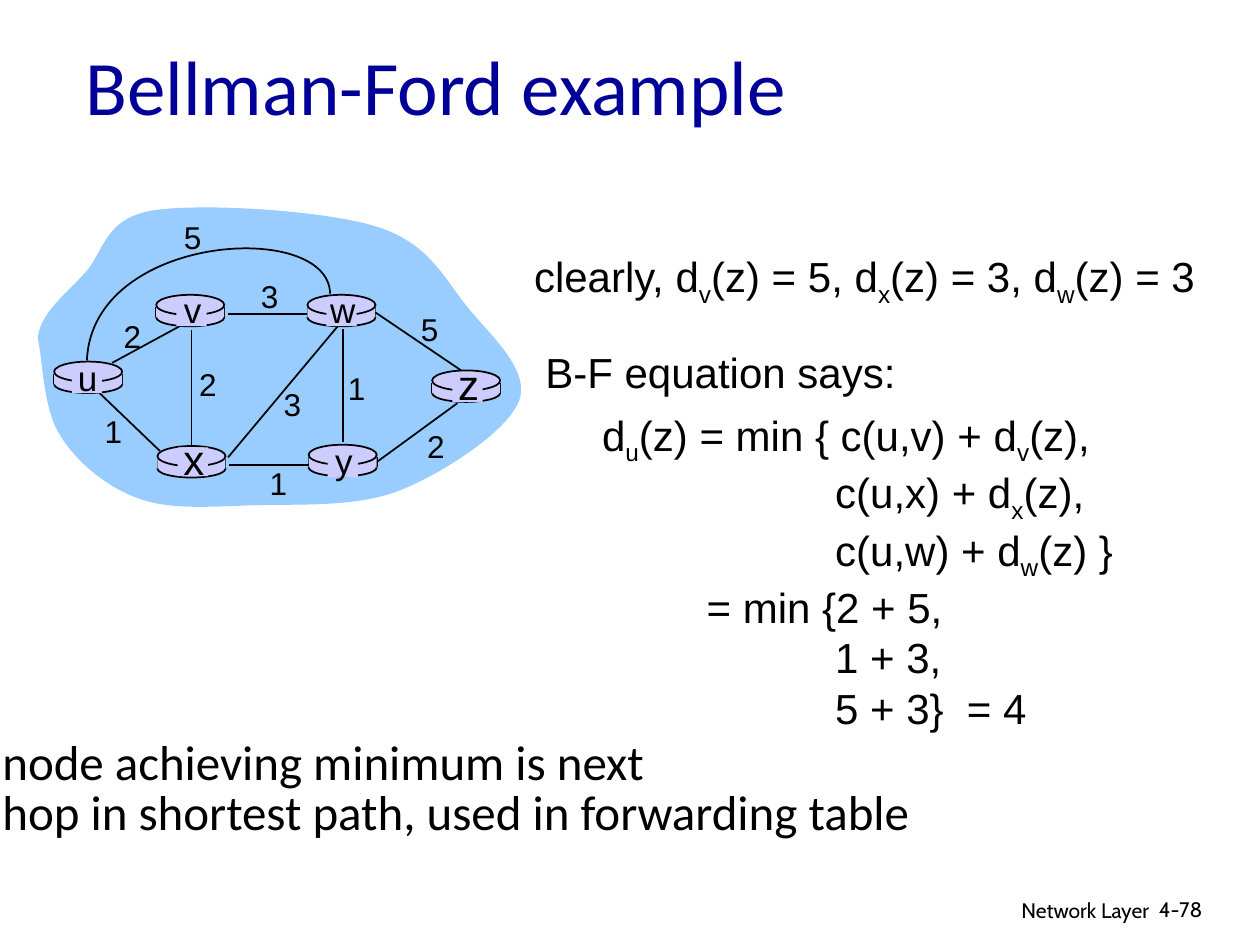
from lxml.etree import SubElement
from pptx import Presentation
from pptx.dml.color import RGBColor
from pptx.enum.shapes import MSO_CONNECTOR as Connector, MSO_SHAPE as Shape
from pptx.enum.text import MSO_ANCHOR as Anchor, MSO_AUTO_SIZE as AutoSize, PP_ALIGN as Align
from pptx.oxml.ns import qn
from pptx.util import Inches, Pt

BLACK, NAVY, SKY, LILAC = "000000", "000099", "99CCFF", "CCCCFF"

# start, then two control points and an end for each curve
CLOUD = [
    (0.3, 2.69),
    (0.31, 2.49), (0.53, 2.33), (0.68, 2.16),
    (0.83, 1.99), (0.83, 1.73), (1.22, 1.67),
    (1.61, 1.61), (2.58, 1.67), (2.99, 1.8),
    (3.41, 1.93), (3.53, 2.22), (3.72, 2.45),
    (3.9, 2.67), (4.21, 2.94), (4.12, 3.18),
    (4.03, 3.42), (3.53, 3.75), (3.18, 3.89),
    (2.83, 4.03), (2.37, 4), (2.03, 4.01),
    (1.68, 4.02), (1.37, 4.05), (1.11, 3.96),
    (0.85, 3.87), (0.61, 3.67), (0.48, 3.46),
    (0.34, 3.25), (0.34, 2.85), (0.3, 2.69),
]
UW_LINK = [(2.62, 2.33), (2.61, 1.74), (0.73, 1.85), (0.69, 2.86)]

# left, top
ROUTERS = [(0.43, 2.87), (1.25, 3.54), (1.24, 2.34),
           (2.44, 2.34), (2.45, 3.53), (3.43, 2.94)]
# name, patch left and top, letter left, top, width, height and size
LETTERS = [
    ("u", 0.57, 2.89, 0.52, 2.78, 0.35, 0.44, 20),
    ("y", 2.6, 3.56, 2.56, 3.44, 0.34, 0.44, 20),
    ("x", 1.41, 3.55, 1.36, 3.39, 0.36, 0.5, 24),
    ("w", 2.59, 2.36, 2.52, 2.24, 0.4, 0.44, 20),
    ("v", 1.4, 2.36, 1.36, 2.24, 0.34, 0.44, 20),
    ("z", 3.59, 2.96, 3.54, 2.8, 0.36, 0.5, 24),
]
# start, end
UV_LINK = ((0.89, 2.88), (1.48, 2.56))
LINKS = [
    ((2.72, 2.61), (2.72, 3.51)), ((1.52, 2.62), (1.52, 3.55)),
    ((1.81, 3.63), (2.68, 2.59)), ((3, 3.66), (3.63, 3.2)),
    ((2.45, 3.69), (1.82, 3.69)), ((1.27, 3.58), (0.79, 3.12)),
    ((2.44, 2.49), (1.81, 2.49)), ((3.66, 2.94), (2.98, 2.48)),
]
# cost, left, top
COSTS = [
    ("2", 0.88, 2.47), ("2", 1.48, 2.85), ("1", 0.73, 3.22), ("3", 2.15, 3.01),
    ("1", 2.04, 3.63), ("1", 2.66, 2.88), ("2", 3.29, 3.34), ("5", 3.24, 2.41),
    ("3", 1.97, 2.15), ("5", 1.36, 1.68),
]
TERM_INDENT, RESULT_INDENT = 1.85, 0.83
# text, indent
EQUATION = [
    ("d_u(z) = min { c(u,v) + d_v(z),", 0),
    ("c(u,x) + d_x(z),", TERM_INDENT),
    ("c(u,w) + d_w(z) }", TERM_INDENT),
    ("= min {2 + 5,", RESULT_INDENT),
    ("1 + 3,", TERM_INDENT),
    ("5 + 3}  = 4", TERM_INDENT),
]


def rgb(color):
    return RGBColor.from_string(color)


def write(frame, lines, size=24, font="Arial", color=BLACK, align=Align.LEFT,
          anchor=Anchor.TOP, spacing=None, wrap=False):
    """Fill a frame with (text, indent) lines; "_" makes the next letter a subscript."""
    frame.word_wrap = wrap
    frame.auto_size = AutoSize.NONE
    frame.vertical_anchor = anchor
    for index, (text, indent) in enumerate(lines):
        paragraph = frame.add_paragraph() if index else frame.paragraphs[0]
        paragraph.alignment = align
        if spacing:
            paragraph.line_spacing = spacing
        if indent:
            paragraph._p.get_or_add_pPr().set("marL", str(Inches(indent)))
        first, *rest = text.split("_")
        pieces = [(first, False)]
        for part in rest:
            pieces += [(part[0], True), (part[1:], False)]
        for piece, is_subscript in pieces:
            run = paragraph.add_run()
            run.text = piece
            run.font.size = Pt(size)
            run.font.name = font
            run.font.color.rgb = rgb(color)
            if is_subscript:
                run._r.get_or_add_rPr().set("baseline", "-25000")


def add_text(slide, text, left, top, width, height, **style):
    box = slide.shapes.add_textbox(*map(Inches, (left, top, width, height)))
    lines = [(text, 0)] if isinstance(text, str) else text
    write(box.text_frame, lines, **style)


def paint(shape, fill=None, outlined=False):
    shape.shadow.inherit = False
    if fill:
        shape.fill.solid()
        shape.fill.fore_color.rgb = rgb(fill)
    else:
        shape.fill.background()
    if outlined:
        shape.line.color.rgb = rgb(BLACK)
        shape.line.width = Pt(1)
    else:
        shape.line.fill.background()


def add_part(slide, kind, left, top, width, height, outlined=False):
    part = slide.shapes.add_shape(kind, *map(Inches, (left, top, width, height)))
    paint(part, LILAC, outlined)


def add_line(slide, start, end):
    line = slide.shapes.add_connector(Connector.STRAIGHT, *map(Inches, start + end))
    line.line.color.rgb = rgb(BLACK)
    line.line.width = Pt(1)
    SubElement(line._element.spPr, qn("a:effectLst"))


def add_curves(slide, points, closed=False, **look):
    """Draw a freeform, then turn every three of its segments into one Bezier curve."""
    start, *others = [tuple(map(Inches, point)) for point in points]
    builder = slide.shapes.build_freeform(*start)
    builder.add_line_segments(others, close=closed)
    shape = builder.convert_to_shape()
    segments = list(shape._element.iter(qn("a:lnTo")))
    for first, second, third in zip(segments[::3], segments[1::3], segments[2::3]):
        first.tag = qn("a:cubicBezTo")
        for segment in (second, third):
            first.append(segment[0])
            segment.getparent().remove(segment)
    paint(shape, **look)


def add_router(slide, left, top):
    width = 0.54
    add_part(slide, Shape.OVAL, left, top + 0.11, width, 0.14, outlined=True)
    for side in (left, left + width):
        add_line(slide, (side, top + 0.1), (side, top + 0.18))
    add_part(slide, Shape.RECTANGLE, left, top + 0.1, width, 0.08)
    add_part(slide, Shape.OVAL, left, top, width, 0.16, outlined=True)


def add_network(slide):
    add_curves(slide, CLOUD, closed=True, fill=SKY)
    add_line(slide, *UV_LINK)
    for left, top in ROUTERS:
        add_router(slide, left, top)
    for start, end in LINKS:
        add_line(slide, start, end)
    add_curves(slide, UW_LINK, outlined=True)
    for name, patch_left, patch_top, left, top, width, height, size in LETTERS:
        add_part(slide, Shape.RECTANGLE, patch_left, patch_top, 0.24, 0.23)
        add_text(slide, name, left, top, width, height, size=size, align=Align.CENTER)
    for cost, left, top in COSTS:
        add_text(slide, cost, left, top, 0.34, 0.4, size=18, align=Align.CENTER)


def add_title(slide, text):
    title = slide.shapes.title
    title.left, title.top, title.width, title.height = map(Inches, (0.58, 0.19, 8.5, 0.96))
    write(title.text_frame, [(text, 0)], size=44, font="Calibri", color=NAVY,
          anchor=Anchor.MIDDLE, wrap=True)


def main():
    deck = Presentation()
    deck.slide_width, deck.slide_height = Inches(10), Inches(7.5)
    slide = deck.slides.add_slide(deck.slide_layouts[5])

    add_title(slide, "Bellman-Ford example")
    add_network(slide)
    add_text(slide, "clearly, d_v(z) = 5, d_x(z) = 3, d_w(z) = 3", 4.14, 1.94, 5.47, 0.56)
    add_text(slide, "B-F equation says:", 4.23, 2.7, 2.98, 0.5)
    add_text(slide, EQUATION, 4.68, 3.2, 4.25, 2.67)
    add_text(slide, [("node achieving minimum is next", 0),
                     ("hop in shortest path, used in forwarding table", 0)],
             -0.08, 5.83, 8.58, 0.9, size=28, font="Calibri", spacing=0.85)
    add_text(slide, "Network Layer", 6.05, 7.07, 3.17, 0.31, size=12, font="Cabin",
             align=Align.RIGHT, wrap=True)
    add_text(slide, "4-78", 9.1, 7.07, 0.74, 0.3, size=12, font="Cabin", wrap=True)

    deck.save("out.pptx")


if __name__ == "__main__":
    main()
